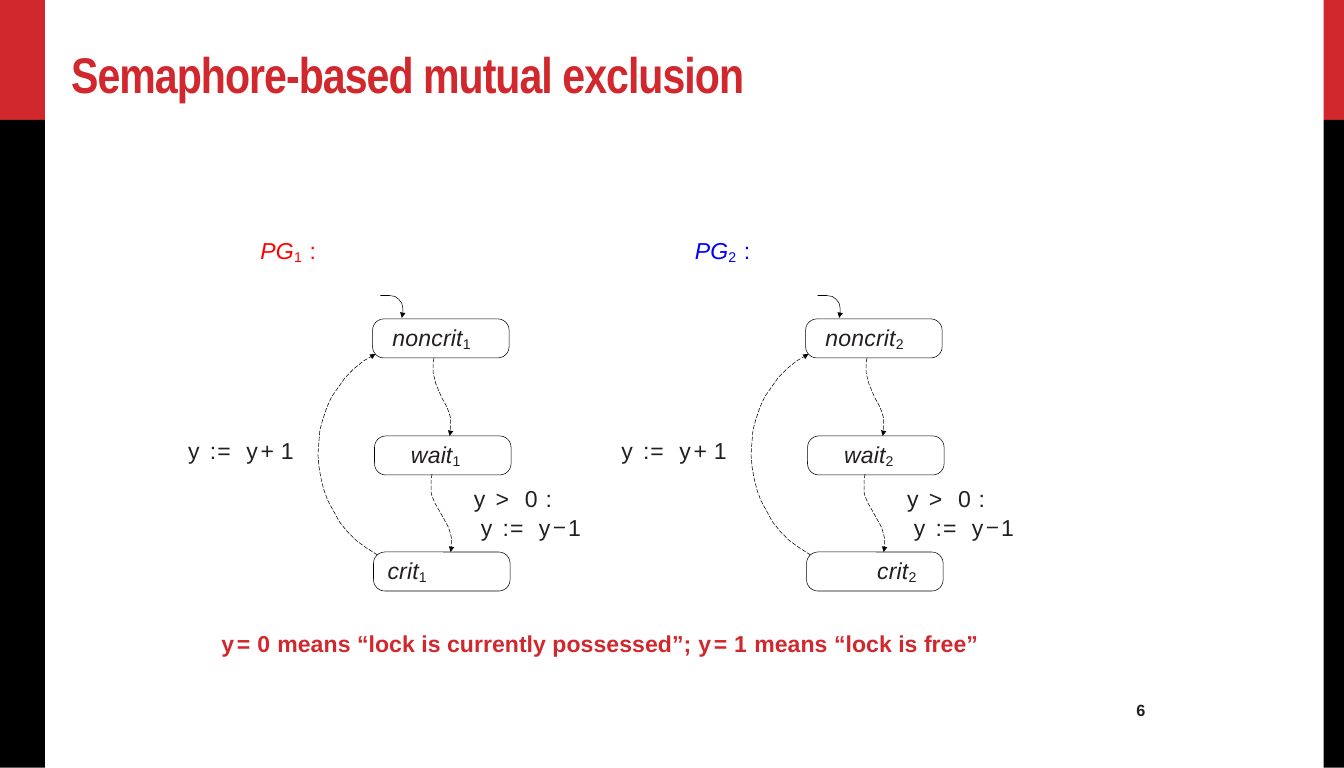
from dataclasses import dataclass
from lxml.etree import SubElement
from pptx import Presentation
from pptx.dml.color import RGBColor
from pptx.enum.dml import MSO_LINE
from pptx.enum.shapes import MSO_SHAPE
from pptx.enum.text import MSO_ANCHOR, MSO_AUTO_SIZE, PP_ALIGN
from pptx.oxml.ns import qn
from pptx.util import Inches, Pt


@dataclass(frozen=True)
class Theme:
    red: str = "D1282E"
    black: str = "000000"
    ink: str = "231F20"
    first: str = "FF0000"
    second: str = "0000FF"
    font: str = "Arial"
    head: str = "Arial Narrow"
    math: str = "Noto Sans CJK JP"
    title: float = 37
    body: float = 17
    sub: float = 18
    page: float = 12
    line: float = 0.4


THEME = Theme()

# Arcs of the first graph, in inches
START = [(3.9, 3.03), (3.99, 3.03), (4.05, 3.04), (4.09, 3.07), (4.12, 3.11),
         (4.13, 3.16), (4.13, 3.21), (4.12, 3.26)]
ENTER = [(4.45, 3.67), (4.44, 3.72), (4.44, 3.82), (4.45, 3.86), (4.47, 3.94),
         (4.5, 4.01), (4.53, 4.08), (4.57, 4.15), (4.6, 4.22), (4.62, 4.29),
         (4.62, 4.42), (4.61, 4.47)]
LOCK = [(4.43, 4.86), (4.42, 4.91), (4.42, 5.05), (4.43, 5.09), (4.46, 5.16),
        (4.5, 5.23), (4.54, 5.3), (4.6, 5.41), (4.62, 5.48), (4.63, 5.52),
        (4.63, 5.61), (4.62, 5.66)]
FREE = [(3.87, 5.69), (3.76, 5.62), (3.65, 5.54), (3.56, 5.45), (3.48, 5.35),
        (3.42, 5.24), (3.36, 5.13), (3.32, 5.02), (3.29, 4.9), (3.27, 4.78),
        (3.26, 4.66), (3.27, 4.53), (3.28, 4.41), (3.31, 4.3), (3.35, 4.18),
        (3.4, 4.07), (3.47, 3.97), (3.54, 3.87), (3.63, 3.78), (3.73, 3.7),
        (3.85, 3.63)]

# Formulas as (text, letter spacing) pairs
ASSIGN = [("y ", 1.4), (":", 0.8), ("=", 5.2), (" ", 1.4), ("y", 2)]
ADD = ASSIGN + [("+", 5.1), ("1", 0.3)]
TAKE = ASSIGN + [("−", 1.6), ("1", 0.3)]
TEST = [("y ", 1.4), (">", 5.5), (" ", 1.4), ("0", 0.3), (" :", 0.8)]
LEGEND = [("y", 2), ("=", 5.1), ("0 ", 0.3),
          ("means “lock is currently possessed”; ", 0.04),
          ("y", 2), ("=", 5.1), ("1 ", 0.3), ("means “lock is free”", 0.04)]


def color(code):
    return RGBColor.from_string(code)


def style(para, size, code, name=THEME.font, bold=False, italic=False):
    font = para.font
    font.name, font.size = name, Pt(size)
    font.bold, font.italic = bold, italic
    font.color.rgb = color(code)


def add_run(para, text, gap=0.1):
    run = para.add_run()
    run.text = text
    run._r.get_or_add_rPr().set("spc", str(round(gap * 100)))
    return run


def add_sub(para, text):
    run = add_run(para, text)
    run.font.size, run.font.italic = Pt(THEME.sub), False
    run._r.get_or_add_rPr().set("baseline", "-12000")


def add_math(para, parts):
    for text, gap in parts:
        run = add_run(para, text, gap)
        if text == "−":
            run.font.name = THEME.math


def set_frame(frame, left=0.01):
    frame.word_wrap = True
    frame.margin_left = Inches(left)
    frame.margin_top = frame.margin_right = frame.margin_bottom = 0
    frame.vertical_anchor = MSO_ANCHOR.TOP


def add_text(slide, x, y, w, h):
    frame = slide.shapes.add_textbox(
        Inches(x), Inches(y), Inches(w), Inches(h)).text_frame
    set_frame(frame)
    return frame


def add_bar(slide, x, y, w, h, code):
    bar = slide.shapes.add_shape(
        MSO_SHAPE.RECTANGLE, Inches(x), Inches(y), Inches(w), Inches(h))
    bar.shadow.inherit = False
    bar.fill.solid()
    bar.fill.fore_color.rgb = color(code)
    bar.line.fill.background()


def set_line(shape):
    shape.shadow.inherit = False
    shape.fill.background()
    shape.line.color.rgb = color(THEME.black)
    shape.line.width = Pt(THEME.line)


def add_state(slide, x, y, name, num, inset):
    box = slide.shapes.add_shape(
        MSO_SHAPE.ROUNDED_RECTANGLE, Inches(x), Inches(y), Inches(1.4), Inches(0.4))
    box.adjustments[0] = 0.29
    set_line(box)
    set_frame(box.text_frame, inset)
    para = box.text_frame.paragraphs[0]
    para.alignment = PP_ALIGN.LEFT
    style(para, THEME.body, THEME.ink, italic=True)
    add_run(para, name)
    add_sub(para, num)


def add_arc(slide, points, dx, dash=True):
    spots = [(Inches(x + dx), Inches(y)) for x, y in points]
    path = slide.shapes.build_freeform(*spots[0])
    path.add_line_segments(spots[1:], close=False)
    arc = path.convert_to_shape()
    set_line(arc)
    if dash:
        arc.line.dash_style = MSO_LINE.LONG_DASH
    SubElement(arc.line._get_or_add_ln(), qn("a:tailEnd"),
               type="triangle", w="sm", len="sm")


def add_graph(slide, num, dx, code, inset):
    # Heading
    para = add_text(slide, 2.66 + dx * 1.003, 2.41, 0.75, 0.31).paragraphs[0]
    style(para, THEME.body, code, italic=True)
    add_run(para, "PG")
    add_sub(para, num)
    add_run(para, " :", 0.8).font.italic = False

    # States and arcs
    add_state(slide, 3.82 + dx, 3.27, "noncrit", num, 0.17)
    add_state(slide, 3.84 + dx, 4.47, "wait", num, 0.34)
    add_state(slide, 3.83 + dx, 5.66, "crit", num, inset)
    add_arc(slide, START, dx * 1.01, dash=False)
    for points in (ENTER, LOCK, FREE):
        add_arc(slide, points, dx)

    # Arc labels
    para = add_text(slide, 1.92 + dx, 4.48, 1.32, 0.3).paragraphs[0]
    style(para, THEME.body, THEME.ink)
    add_math(para, ADD)
    frame = add_text(slide, 4.85 + dx, 4.97, 1.4, 0.57)
    guard, act = frame.paragraphs[0], frame.add_paragraph()
    for para, parts in ((guard, TEST), (act, TAKE)):
        style(para, THEME.body, THEME.ink)
        add_math(para, parts)
    act.space_before = Pt(0.6)
    act._p.get_or_add_pPr().set("marL", str(Inches(0.07)))


def add_title(slide, text):
    title = slide.shapes.title
    title.left, title.top = Inches(0.72), Inches(0.44)
    title.width, title.height = Inches(6.95), Inches(0.71)
    frame = title.text_frame
    set_frame(frame)
    frame.auto_size = MSO_AUTO_SIZE.NONE
    para = frame.paragraphs[0]
    para.alignment = PP_ALIGN.LEFT
    style(para, THEME.title, THEME.red, THEME.head, bold=True)
    add_run(para, text, -0.7)


def main():
    # A page of 350 by 200 millimetres
    deck = Presentation()
    deck.slide_width, deck.slide_height = Inches(350 / 25.4), Inches(200 / 25.4)
    slide = deck.slides.add_slide(deck.slide_layouts[5])

    # Side bars
    for x, w in ((0, 0.46), (13.57, 0.21)):
        add_bar(slide, x, 0, w, 1.23, THEME.red)
        add_bar(slide, x, 1.23, w, 6.64, THEME.black)

    add_title(slide, "Semaphore-based mutual exclusion")

    # Program graphs
    add_graph(slide, "1", 0, THEME.first, 0.11)
    add_graph(slide, "2", 4.44, THEME.second, 0.69)

    # Legend and page number
    para = add_text(slide, 2.26, 6.45, 8.44, 0.3).paragraphs[0]
    style(para, THEME.body, THEME.red, bold=True)
    add_math(para, LEGEND)
    para = add_text(slide, 11.64, 7.18, 0.17, 0.2).paragraphs[0]
    style(para, THEME.page, THEME.ink, bold=True)
    add_run(para, "6", -0.1)
    deck.save("out.pptx")


if __name__ == "__main__":
    main()
